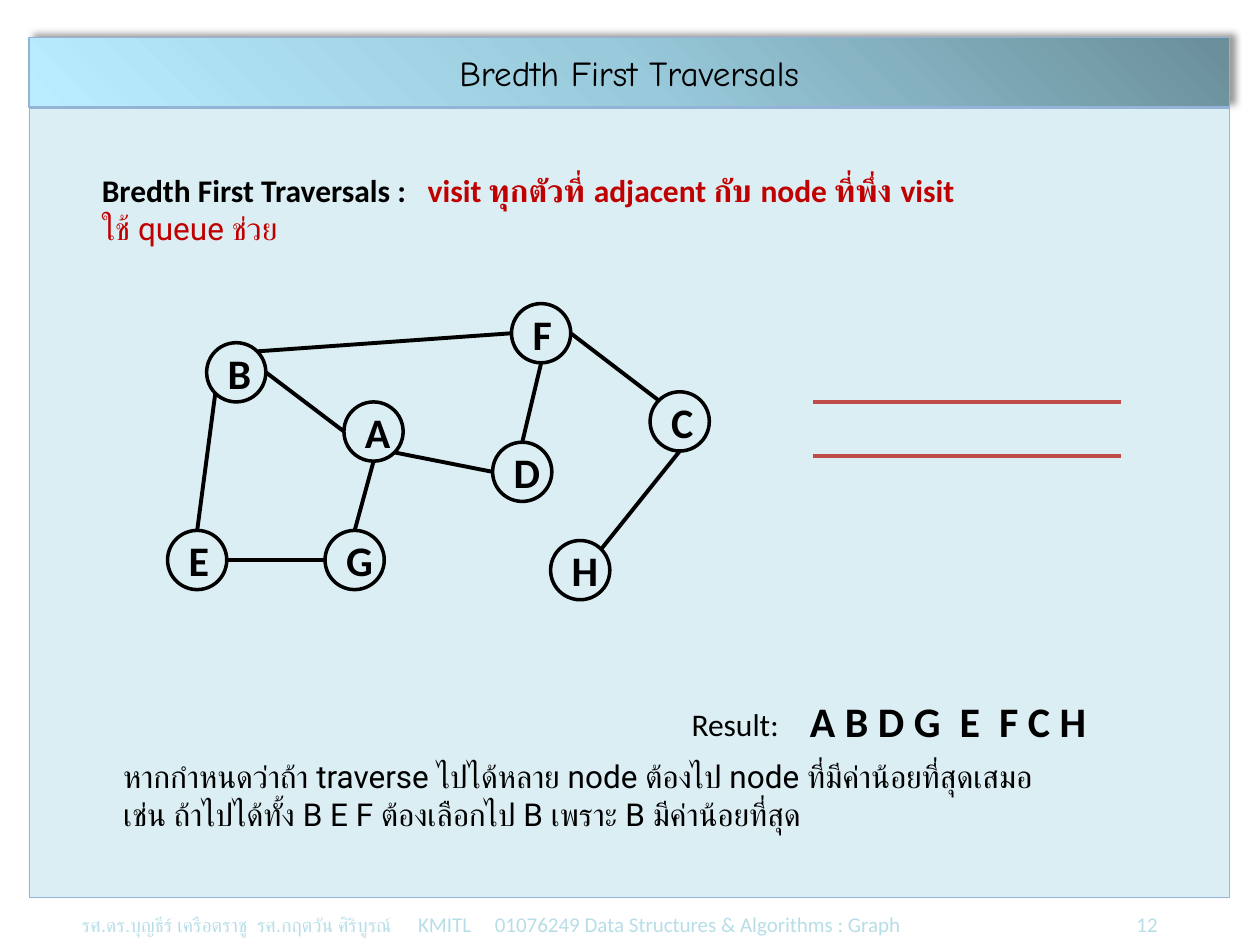
"""Build a slide on breadth-first traversal of a small graph."""
import math
from dataclasses import dataclass

import pptx
import pptx.dml.color
import pptx.enum.shapes
import pptx.enum.text
import pptx.oxml
import pptx.oxml.ns
import pptx.util
from lxml import etree

Inches = pptx.util.Inches
Pt = pptx.util.Pt
qn = pptx.oxml.ns.qn


@dataclass(frozen=True)
class Theme:
    ink: str = "000000"
    accent: str = "C00000"
    queue: str = "BF4C48"
    panel: str = "DBEEF4"
    border: str = "95B3D7"
    footer: str = "B7DEE8"
    banner: tuple = ((0, "6A8E9A"), (50, "98CADB"), (100, "B9EDFF"))
    font: str = "Calibri"
    thai_font: str = "Roboto"
    title_font: str = "Comic Neue"
    title: int = 20
    body: int = 18
    label: int = 24
    footer_size: int = 12
    footer_name_size: int = 11
    footer_tab_size: int = 16


THEME = Theme()
NODE_SIZE = 0.47
NODES = {
    "A": (2.73, 3.19), "G": (2.58, 4.21), "B": (1.64, 2.72), "E": (1.33, 4.21),
    "C": (5.16, 3.11), "H": (4.37, 4.29), "F": (4.06, 2.41), "D": (3.91, 3.51),
}
TOP, TOP_LEFT, LEFT, BOTTOM_LEFT, BOTTOM, BOTTOM_RIGHT, RIGHT, TOP_RIGHT = range(8)
EDGES = (
    ("E", TOP, "B", BOTTOM_LEFT), ("E", RIGHT, "G", LEFT), ("G", TOP, "A", BOTTOM),
    ("B", RIGHT, "A", LEFT), ("B", TOP_RIGHT, "F", LEFT), ("F", RIGHT, "C", TOP_LEFT),
    ("H", TOP_RIGHT, "C", BOTTOM), ("D", TOP, "F", BOTTOM), ("A", BOTTOM_RIGHT, "D", LEFT),
)


def rgb(color):
    """Return a colour object for a hex string."""
    return pptx.dml.color.RGBColor.from_string(color)


def write(paragraph, text, font=THEME.font, size=THEME.body, color=THEME.ink, bold=False):
    """Add text to a paragraph, with a line break at each newline."""
    for index, line in enumerate(text.split("\n")):
        if index:
            paragraph.add_line_break()
        run = paragraph.add_run()
        run.text = line
        run.font.name = font
        run.font.size = Pt(size)
        run.font.bold = bold
        run.font.color.rgb = rgb(color)


def add_text_box(shapes, left, top, width, height, wrap=True):
    """Add an empty text box and return its text frame."""
    frame = shapes.add_textbox(*map(Inches, (left, top, width, height))).text_frame
    frame.word_wrap = wrap
    return frame


def add_line(shapes, start, end, color):
    """Add a straight line without a shadow."""
    line = shapes.add_connector(
        pptx.enum.shapes.MSO_CONNECTOR.STRAIGHT, *map(Inches, (*start, *end)))
    line.line.color.rgb = rgb(color)
    line.line.width = Pt(2.25)
    etree.SubElement(line._element.spPr, qn("a:effectLst"))
    return line


def add_panel(shapes):
    """Add the tinted panel behind the content."""
    panel = shapes.add_shape(
        pptx.enum.shapes.MSO_SHAPE.RECTANGLE, *map(Inches, (0.23, 0.86, 9.53, 6.26)))
    panel.shadow.inherit = False
    panel.fill.solid()
    panel.fill.fore_color.rgb = rgb(THEME.panel)
    panel.line.color.rgb = rgb(THEME.border)
    panel.line.width = Pt(0.25)


def format_title(title, text):
    """Turn the title placeholder into a gradient banner with a shadow."""
    title.left, title.top, title.width, title.height = map(Inches, (0.23, 0.3, 9.53, 0.55))
    properties = title._element.spPr
    gradient = etree.SubElement(properties, qn("a:gradFill"), rotWithShape="1")
    stops = etree.SubElement(gradient, qn("a:gsLst"))
    for position, color in THEME.banner:
        stop = etree.SubElement(stops, qn("a:gs"), pos=str(position * 1000))
        etree.SubElement(stop, qn("a:srgbClr"), val=color)
    etree.SubElement(gradient, qn("a:lin"), ang=str(135 * 60000), scaled="0")
    title.line.color.rgb = rgb(THEME.border)
    title.line.width = Pt(0.75)
    effects = etree.SubElement(properties, qn("a:effectLst"))
    shadow = etree.SubElement(
        effects, qn("a:outerShdw"), blurRad=str(Pt(4)), dist=str(Pt(3)),
        dir=str(315 * 60000), algn="bl", rotWithShape="0")
    shade = etree.SubElement(shadow, qn("a:srgbClr"), val=THEME.ink)
    etree.SubElement(shade, qn("a:alpha"), val="40000")
    title.text_frame.vertical_anchor = pptx.enum.text.MSO_ANCHOR.MIDDLE
    heading = title.text_frame.paragraphs[0]
    heading.alignment = pptx.enum.text.PP_ALIGN.CENTER
    write(heading, text, font=THEME.title_font, size=THEME.title)


def add_footer(shapes):
    """Add the footer line with its tab stops."""
    footer = add_text_box(shapes, 0.55, 7.13, 8.98, 0.37).paragraphs[0]
    tabs = etree.SubElement(footer._p.get_or_add_pPr(), qn("a:tabLst"))
    for position, alignment in ((4.32, "dec"), (8.54, "r")):
        etree.SubElement(tabs, qn("a:tab"), pos=str(Inches(position)), algn=alignment)
    write(footer, "รศ.ดร.บุญธีร์ เครือตราชู  รศ.กฤตวัน ศิริบูรณ์", font="Arial",
          size=THEME.footer_name_size, color=THEME.footer)
    write(footer, "\t     KMITL     01076249 Data Structures & Algorithms : Graph",
          size=THEME.footer_size, color=THEME.footer)
    write(footer, "\t", size=THEME.footer_tab_size, color=THEME.footer)
    write(footer, "12", size=THEME.footer_size, color=THEME.footer)


def add_node(shapes, name):
    """Add one labelled graph node."""
    left, top = NODES[name]
    node = shapes.add_shape(
        pptx.enum.shapes.MSO_SHAPE.OVAL, *map(Inches, (left, top, NODE_SIZE, NODE_SIZE)))
    node.shadow.inherit = False
    node.fill.background()
    node.line.color.rgb = rgb(THEME.ink)
    node.line.width = Pt(2)
    node.text_frame.vertical_anchor = pptx.enum.text.MSO_ANCHOR.MIDDLE
    label = node.text_frame.paragraphs[0]
    label.alignment = pptx.enum.text.PP_ALIGN.CENTER
    write(label, name, size=THEME.label, bold=True)
    return node


def site_point(name, site):
    """Return where a connection site lies, counted counterclockwise from the top."""
    angle = math.radians(90 + 45 * site)
    radius = NODE_SIZE / 2
    left, top = NODES[name]
    return left + radius * (1 + math.cos(angle)), top + radius * (1 - math.sin(angle))


def add_graph(shapes):
    """Add the nodes and the edges joined to them."""
    nodes = {name: add_node(shapes, name) for name in NODES}
    for start, start_site, end, end_site in EDGES:
        edge = add_line(
            shapes, site_point(start, start_site), site_point(end, end_site), THEME.ink)
        joints = edge._element.nvCxnSpPr.cNvCxnSpPr
        for tag, name, site in (("a:stCxn", start, start_site), ("a:endCxn", end, end_site)):
            etree.SubElement(joints, qn(tag), id=str(nodes[name].shape_id), idx=str(site))


def add_definition(shapes):
    """Add the definition of the traversal."""
    frame = add_text_box(shapes, 0.71, 1.31, 7.27, 0.71, wrap=False)
    definition = frame.paragraphs[0]
    write(definition, "Bredth First Traversals :   ", bold=True)
    write(definition, "visit ทุกตัวที่ adjacent กับ node ที่พึ่ง visit",
          color=THEME.accent, bold=True)
    write(frame.add_paragraph(), "ใช้ queue ช่วย", font=THEME.thai_font, color=THEME.accent)


def add_result(shapes):
    """Add the visiting order and the rule for choosing the next node."""
    write(add_text_box(shapes, 5.39, 5.55, 1.56, 0.57).paragraphs[0], "Result:")
    write(add_text_box(shapes, 6.33, 5.47, 2.42, 0.5).paragraphs[0],
          "A B D G  E  F C H", size=THEME.label, bold=True)
    write(add_text_box(shapes, 0.88, 5.96, 8.54, 0.71).paragraphs[0],
          "หากกำหนดว่าถ้า traverse ไปได้หลาย node ต้องไป node ที่มีค่าน้อยที่สุดเสมอ \n"
          "เช่น ถ้าไปได้ทั้ง B E F ต้องเลือกไป B เพราะ B มีค่าน้อยที่สุด", font=THEME.thai_font)


def main():
    """Build and save the slide."""
    deck = pptx.Presentation()
    deck.slide_width, deck.slide_height = Inches(10), Inches(7.5)
    slide = deck.slides.add_slide(deck.slide_layouts[5])
    shapes = slide.shapes
    format_title(shapes.title, "Bredth First Traversals")
    add_panel(shapes)
    add_footer(shapes)
    queue = shapes.add_group_shape().shapes
    for level in (3.62, 3.19):
        add_line(queue, (6.45, level), (8.9, level), THEME.queue)
    add_graph(shapes.add_group_shape().shapes)
    add_definition(shapes)
    add_result(shapes.add_group_shape().shapes)
    deck.save("out.pptx")


if __name__ == "__main__":
    main()
